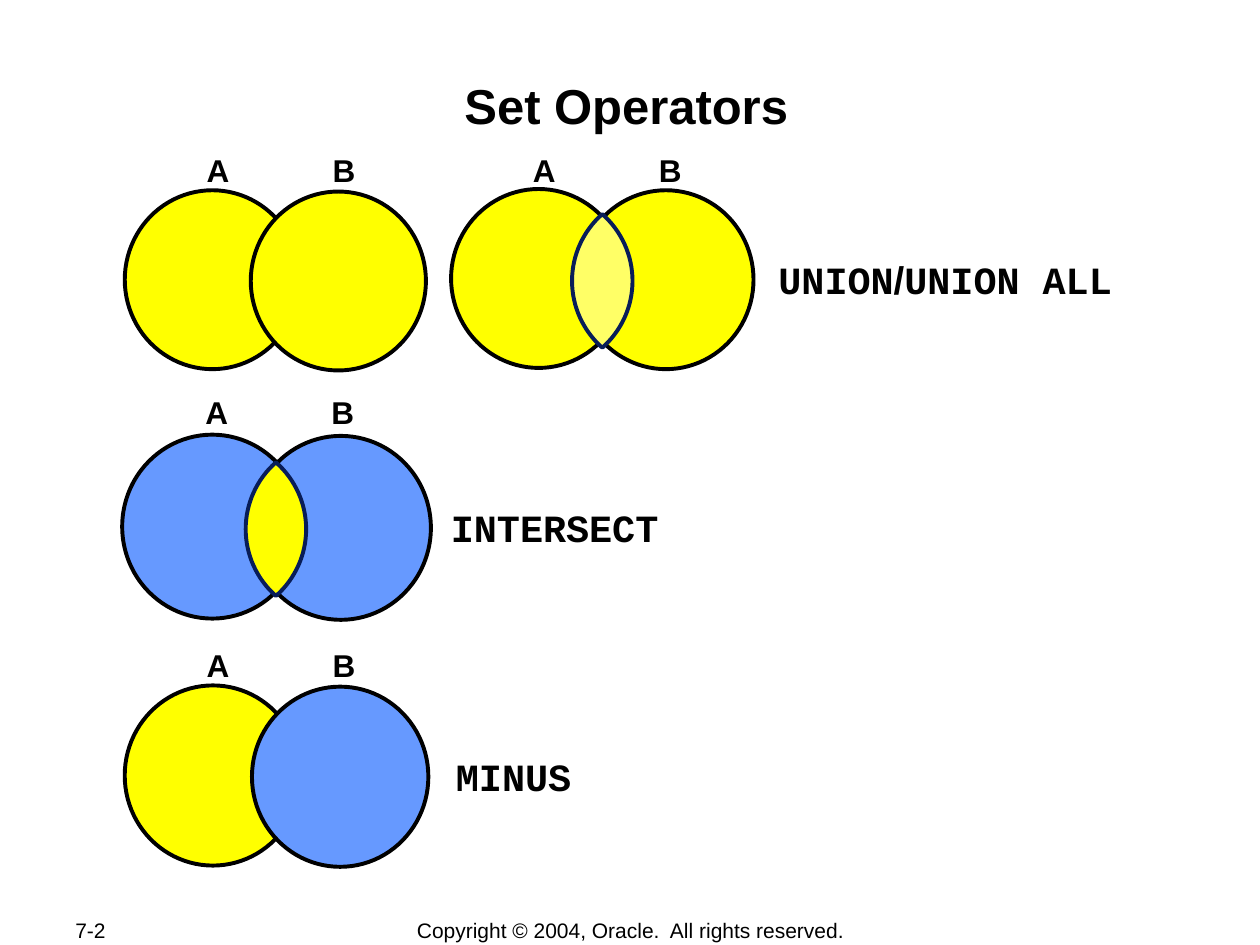
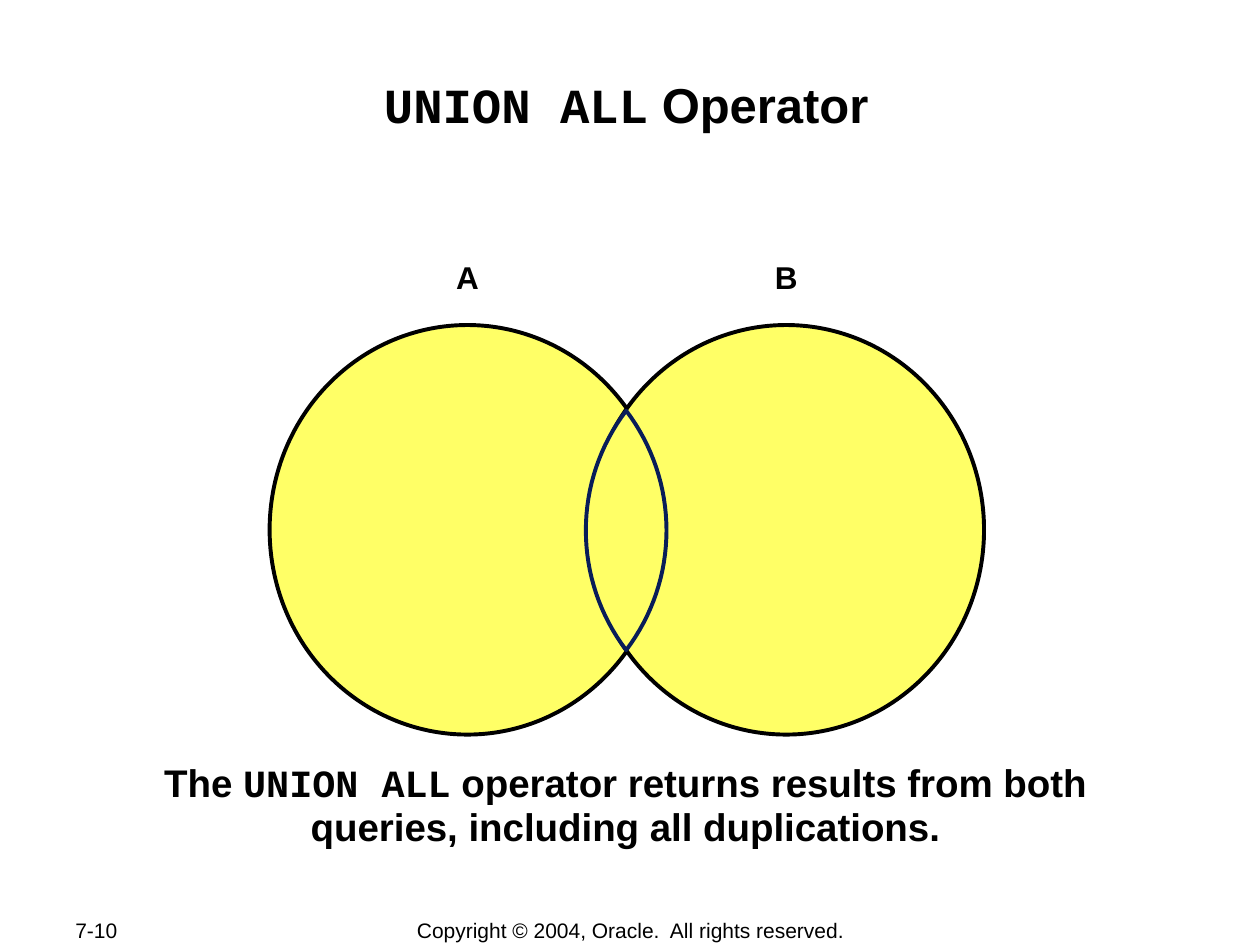
from math import asin, cos, sin

from pptx import Presentation
from pptx.dml.color import RGBColor as RGB
from pptx.enum.shapes import MSO_SHAPE
from pptx.enum.text import MSO_ANCHOR as ANCHOR, MSO_AUTO_SIZE as FIT, PP_ALIGN as ALIGN
from pptx.util import Inches, Pt

COLORS = {"ink": "000000", "yellow": "FFFF00", "pale": "FFFF66", "blue": "6699FF", "navy": "081D58"}
SANS, MONO = "Arial", "Courier New"
ARC_STEPS = 32


def write(sp, box, text, size=18, bold=True, font=SANS, align=ALIGN.LEFT,
          anchor=ANCHOR.TOP, wrap=True, spacing=None, inset=None):
    sp.left, sp.top, sp.width, sp.height = [Inches(v) for v in box]
    tf = sp.text_frame
    tf.auto_size, tf.word_wrap, tf.vertical_anchor = FIT.NONE, wrap, anchor
    if inset is not None:
        tf.margin_left = tf.margin_right = tf.margin_top = tf.margin_bottom = Inches(inset)
    p = tf.paragraphs[0]
    p.alignment, p.line_spacing, p.space_before = align, spacing, Pt(0)
    for words, face in [(text, font)] if isinstance(text, str) else text:
        r = p.add_run()
        r.text = words
        r.font.name, r.font.size, r.font.bold = face, Pt(size), bold
        r.font.color.rgb = RGB.from_string(COLORS["ink"])


def paint(sp, fill, line):
    sp.shadow.inherit = False
    sp.fill.solid()
    sp.fill.fore_color.rgb = RGB.from_string(COLORS[fill])
    sp.line.color.rgb = RGB.from_string(COLORS[line])
    sp.line.width = Pt(2.25)


slides = [
    {
        "number": "7-2",
        "title": "Set Operators",
        "title_top": 0.55,
        "title_inset": 0.05,
        "venns": [
            {"at": (0.99, 1.51), "size": (1.39, 1.42), "step": (1, 0.01),
             "fills": ("yellow", "yellow"), "labels": (1.54, 1.15, 1)},
            {"at": (3.58, 1.5), "size": (1.39, 1.42), "step": (1.01, 0.01),
             "fills": ("yellow", "yellow"), "labels": (4.13, 1.15, 1),
             "lens": (4.78, 2.23, 0.24, 0.53, "pale")},
            {"at": (0.97, 3.45), "size": (1.43, 1.46), "step": (1.02, 0.01),
             "fills": ("blue", "blue"), "labels": (1.53, 3.07, 1),
             "lens": (2.19, 4.2, 0.24, 0.53, "yellow")},
            {"at": (0.99, 5.44), "size": (1.4, 1.43), "step": (1.01, 0.01),
             "fills": ("yellow", "blue"), "labels": (1.54, 5.08, 1)},
        ],
        "captions": [
            ((6.08, 1.98, 3.7, 0.47), [("UNION", MONO), ("/", SANS), ("UNION ALL", MONO)], {}),
            ((3.48, 3.95, 1.85, 0.47), "INTERSECT", {"font": MONO, "wrap": False}),
            ((3.52, 5.93, 1.12, 0.47), "MINUS", {"font": MONO, "wrap": False}),
        ],
    },
    {
        "number": "7-10",
        "title": [("UNION ALL", MONO), (" Operator", SANS)],
        "title_top": 0.58,
        "title_inset": 0.01,
        "venns": [
            {"at": (2.14, 2.58), "size": (3.14, 3.25), "step": (2.53, 0),
             "fills": ("pale", "pale"), "labels": (3.52, 2, 2.53),
             "lens": (4.97, 4.21, 0.32, 0.95, "pale")},
        ],
        "captions": [
            ((0.99, 6, 7.95, 0.8),
             [("The ", SANS), ("UNION ALL", MONO),
              (" operator returns results from both queries, including all duplications.", SANS)],
             {"align": ALIGN.CENTER, "spacing": 0.95}),
        ],
    },
]

prs = Presentation()
prs.slide_width, prs.slide_height = Inches(10), Inches(7.5)

for page in slides:
    s = prs.slides.add_slide(prs.slide_layouts[5])
    write(s.shapes.title, (0.97, page["title_top"], 8, 0.96), page["title"],
          size=28, align=ALIGN.CENTER, inset=page["title_inset"])

    footers = [
        ((0.5, 7.28, 1.06, 0.2), page["number"], ALIGN.LEFT),
        ((2.76, 7.28, 4.49, 0.21), "Copyright © 2004, Oracle.  All rights reserved.", ALIGN.CENTER),
    ]
    for box, text, align in footers:
        write(s.shapes.add_textbox(0, 0, 0, 0), box, text,
              size=12, bold=False, align=align, anchor=ANCHOR.MIDDLE)

    for venn in page["venns"]:
        left, top = venn["at"]
        step_x, step_y = venn["step"]
        label_x, label_y, label_step = venn["labels"]
        width, height = [Inches(v) for v in venn["size"]]
        for i, (name, fill) in enumerate(zip("AB", venn["fills"])):
            circle = s.shapes.add_shape(MSO_SHAPE.OVAL, Inches(left + i * step_x),
                                        Inches(top + i * step_y), width, height)
            paint(circle, fill, "ink")
            write(s.shapes.add_textbox(0, 0, 0, 0),
                  (label_x + i * label_step, label_y, 0.38, 0.4), name,
                  align=ALIGN.CENTER, wrap=False)

        if "lens" in venn:
            cx, cy, half_w, half_h, fill = venn["lens"]
            radius = (half_w ** 2 + half_h ** 2) / (2 * half_w)
            reach = asin(half_h / radius)
            points = []
            for side in (1, -1):
                for i in range(ARC_STEPS):
                    angle = side * reach * (2 * i / ARC_STEPS - 1)
                    x = cx + side * (half_w - radius + radius * cos(angle))
                    points.append((Inches(x), Inches(cy + radius * sin(angle))))
            outline = s.shapes.build_freeform(*points[0])
            outline.add_line_segments(points[1:], close=True)
            paint(outline.convert_to_shape(), fill, "navy")

    for box, text, style in page["captions"]:
        write(s.shapes.add_textbox(0, 0, 0, 0), box, text, size=22, **style)

prs.save("out.pptx")
